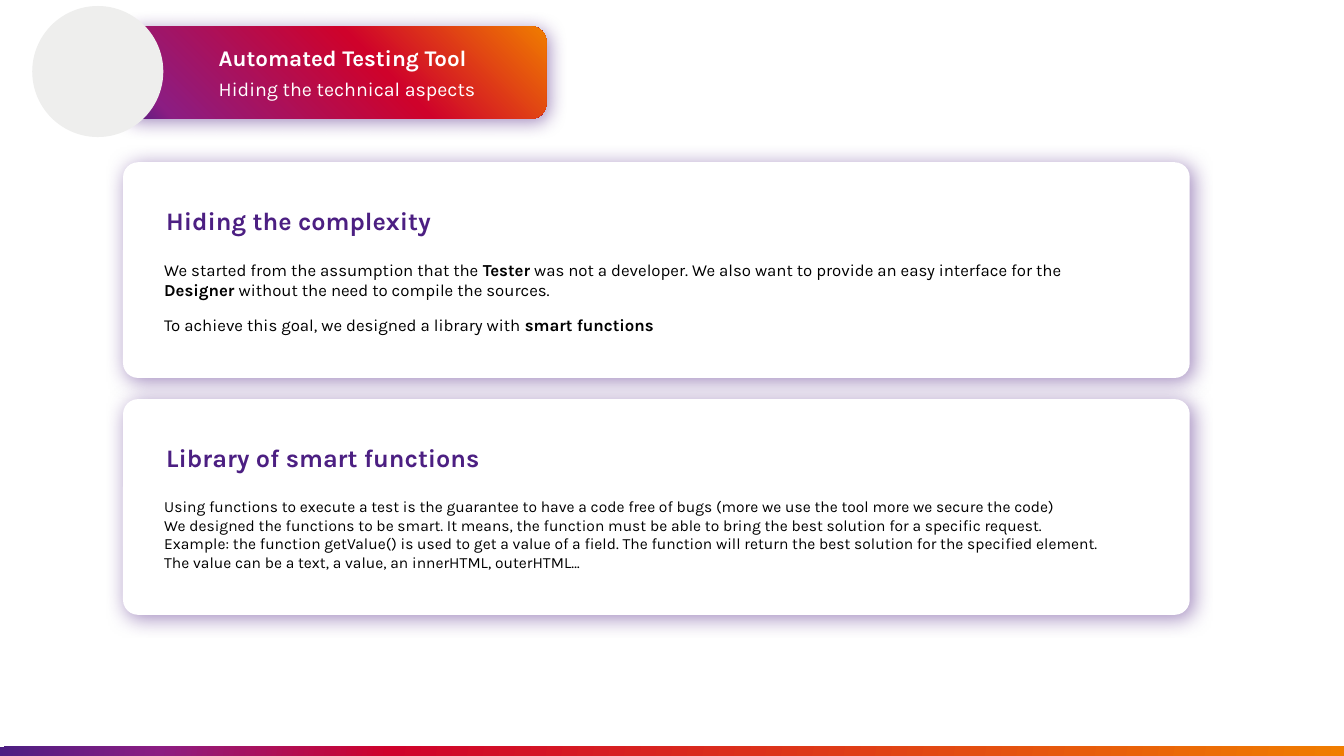
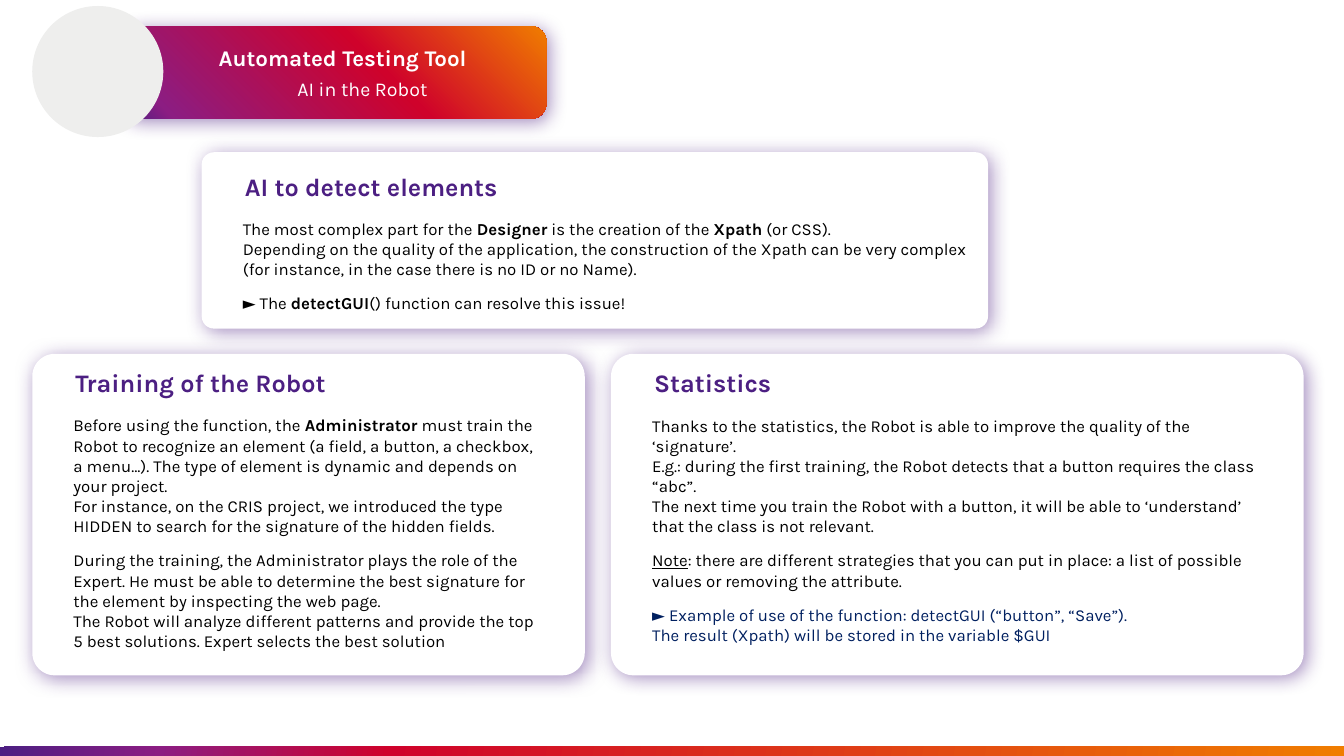
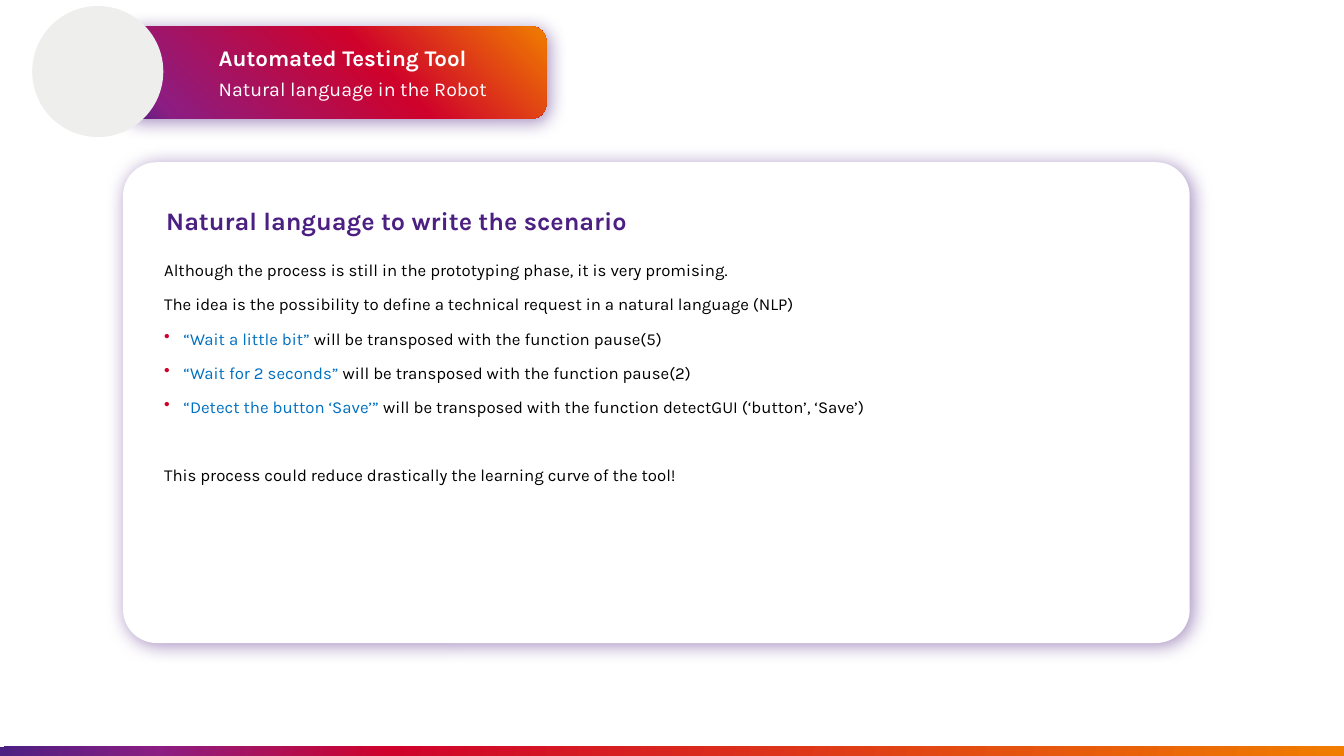
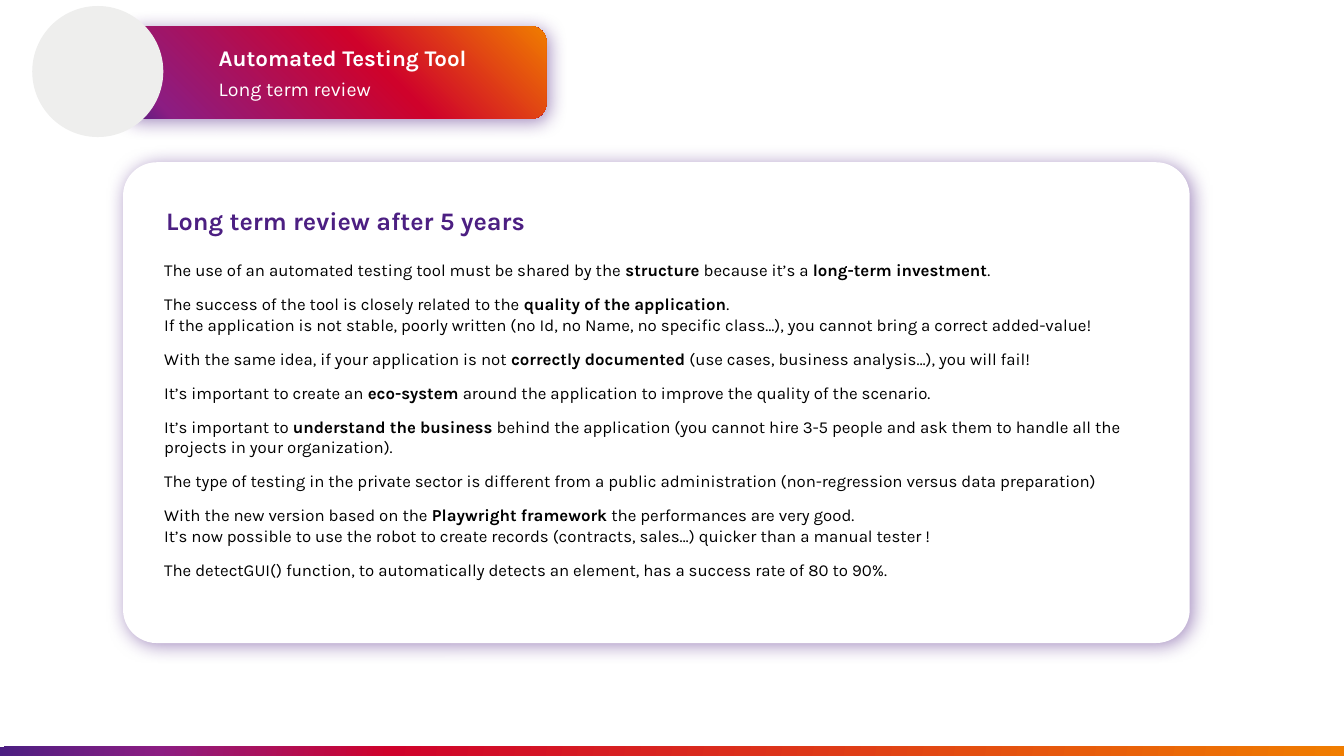
from lxml import etree
from pptx import Presentation
from pptx.dml.color import RGBColor
from pptx.enum.shapes import MSO_SHAPE as Preset
from pptx.oxml.ns import qn
from pptx.util import Inches, Pt

FONT = "Karla"
COLOURS = {
    "purple": "4C1F82", "violet": "8C1D82", "red": "CF022B", "orange": "F07D00",
    "white": "FFFFFF", "grey": "EEEEED", "black": "000000",
    "blue": "0070C0", "navy": "002060",
}
BANNER_STOPS = [(0, "purple"), (10, "violet"), (60, "red"), (100, "orange")]
BAND_STOPS = [(0, "purple"), (12, "violet"), (29, "red"), (100, "orange")]


def add_panel(slide, preset, box, colour=None, stops=(), angle=0, blur=0):
    """Add a borderless shape with a plain or gradient fill and an optional glow."""
    shape = slide.shapes.add_shape(preset, *map(Inches, box))
    shape.line.fill.background()
    shape.shadow.inherit = False
    properties = shape._element.spPr
    if colour:
        shape.fill.solid()
        shape.fill.fore_color.rgb = RGBColor.from_string(COLOURS[colour])
    else:
        shape.fill.gradient()
        shape.fill.gradient_angle = angle
        stop_list = properties.find(".//" + qn("a:gsLst"))
        stop_list.clear()
        for position, name in stops:
            stop = etree.SubElement(stop_list, qn("a:gs"), pos=str(position * 1000))
            etree.SubElement(stop, qn("a:srgbClr"), val=COLOURS[name])
    if blur:
        shadow = etree.SubElement(
            properties.find(qn("a:effectLst")), qn("a:outerShdw"), blurRad=str(Pt(blur)),
            dist=str(Pt(3)), dir="2700000", algn="tl", rotWithShape="0")
        tint = etree.SubElement(shadow, qn("a:srgbClr"), val=COLOURS["purple"])
        etree.SubElement(tint, qn("a:alpha"), val="50000")
    return shape


def add_text(slide, box, paragraphs, size, colour="black", bold=False):
    """Add a text box; a run is a string or (string, "bold" | "underline" | colour)."""
    frame = slide.shapes.add_textbox(*map(Inches, box)).text_frame
    frame.word_wrap = True
    after_bullet = False
    for index, runs in enumerate(paragraphs):
        paragraph = frame.paragraphs[0] if index == 0 else frame.add_paragraph()
        runs = [(run, "") if isinstance(run, str) else run
                for run in ([runs] if isinstance(runs, str) else runs)]
        bullet = runs[0][0].startswith("• ")
        # One line of air after a bullet list
        paragraph.space_before = Pt(0 if index == 0 else 29 if after_bullet and not bullet else 5)
        paragraph.space_after = Pt(5)
        after_bullet = bullet
        if bullet:
            properties = paragraph._p.get_or_add_pPr()
            properties.set("marL", str(Inches(0.19)))
            properties.set("indent", str(Inches(-0.19)))
            bullet_colour = etree.SubElement(properties, qn("a:buClr"))
            etree.SubElement(bullet_colour, qn("a:srgbClr"), val=COLOURS["red"])
            etree.SubElement(properties, qn("a:buChar"), char="•")
        for text, style in runs:
            for number, line in enumerate(text.removeprefix("• ").split("\n")):
                if number:
                    paragraph.add_line_break()
                run = paragraph.add_run()
                run.text = line
                run.font.name = FONT
                run.font.size = Pt(size)
                run.font.bold = bold or style == "bold"
                run.font.underline = style == "underline"
                run.font.color.rgb = RGBColor.from_string(COLOURS.get(style, COLOURS[colour]))
        # Line breaks take the size of the text around them
        for line_break in paragraph._p.findall(qn("a:br")):
            mark = etree.SubElement(line_break, qn("a:rPr"), sz=str(round(size * 100)))
            etree.SubElement(mark, qn("a:latin"), typeface=FONT)


# Content: (subtitle, subtitle left, cards); a card is
# (box, heading, heading offset, heading width, body offset, body width, body height, size, body)
PAGES = [
    ("Hiding the technical aspects", 2.07, [
        ((1.22, 1.61, 10.58, 2.14), "Hiding the complexity", 0.38, 4.51, 0.92, 9.73, 1.07, 12, [
            ["We started from the assumption that the ", ("Tester", "bold"),
             " was not a developer. We also want to provide an easy interface for the ",
             ("Designer", "bold"), " without the need to compile the sources."],
            ["To achieve this goal, we designed a library with ", ("smart functions", "bold")],
        ]),
        ((1.22, 3.96, 10.58, 2.14), "Library of smart functions", 0.38, 4.51, 0.92, 9.73, 1.07, 11.1, [
            "Using functions to execute a test is the guarantee to have a code free of bugs "
            "(more we use the tool more we secure the code)\n"
            "We designed the functions to be smart. It means, the function must be able to "
            "bring the best solution for a specific request.\n"
            "Example: the function getValue() is used to get a value of a field. The function "
            "will return the best solution for the specified element.\n"
            "The value can be a text, a value, an innerHTML, outerHTML…",
        ]),
    ]),
    ("AI in the Robot", 2.85, [
        ((2, 1.51, 7.8, 1.75), "AI to detect elements", 0.14, 4.51, 0.61, 7.49, 1.14, 12, [
            ["The most complex part for the ", ("Designer", "bold"), " is the creation of the ",
             ("Xpath", "bold"),
             " (or CSS).\nDepending on the quality of the application, the construction of the "
             "Xpath can be very complex\n(for instance, in the case there is no ID or no Name)."],
            ["► The ", ("detectGUI", "bold"), "() function can resolve this issue!"],
        ]),
        ((0.32, 3.51, 5.48, 3.19), "Training of the Robot", 0.08, 4.51, 0.56, 4.88, 2.53, 12, [
            ["Before using the function, the ", ("Administrator", "bold"),
             " must train the Robot to recognize an element (a field, a button, a checkbox, "
             "a menu…). The type of element is dynamic and depends on your project.\n"
             "For instance, on the CRIS project, we introduced the type HIDDEN to search for "
             "the signature of the hidden fields."],
            "During the training, the Administrator plays the role of the Expert. He must be "
            "able to determine the best signature for the element by inspecting the web page.\n"
            "The Robot will analyze different patterns and provide the top 5 best solutions. "
            "Expert selects the best solution",
        ]),
        ((6.06, 3.51, 6.87, 3.19), "Statistics", 0.08, 4.51, 0.56, 6.33, 2.38, 12, [
            "Thanks to the statistics, the Robot is able to improve the quality of the "
            "‘signature’.\nE.g.: during the first training, the Robot detects that a button "
            "requires the class “abc”.\nThe next time you train the Robot with a button, it "
            "will be able to ‘understand’ that the class is not relevant.",
            [("Note", "underline"), ": there are different strategies that you can put in "
             "place: a list of possible values or removing the attribute."],
            [("► Example of use of the function: detectGUI (“button”, “Save”).\n"
              "The result (Xpath) will be stored in the variable $GUI", "navy")],
        ]),
    ]),
    ("Natural language in the Robot", 2.07, [
        ((1.22, 1.61, 10.58, 4.77), "Natural language to write the scenario",
         0.38, 5.29, 0.92, 9.73, 3.65, 12, [
            "Although the process is still in the prototyping phase, it is very promising.",
            "The idea is the possibility to define a technical request in a natural language (NLP)",
            [("• “Wait a little bit”", "blue"), " will be transposed with the function pause(5)"],
            [("• “Wait for 2 seconds”", "blue"), " will be transposed with the function pause(2)"],
            [("• “Detect the button ‘Save’”", "blue"),
             " will be transposed with the function detectGUI (‘button’, ‘Save’)"],
            "This process could reduce drastically the learning curve of the tool!",
        ]),
    ]),
    ("Long term review", 2.07, [
        ((1.22, 1.61, 10.58, 4.77), "Long term review after 5 years",
         0.38, 5.29, 0.92, 9.73, 3.65, 12, [
            ["The use of an automated testing tool must be shared by the ", ("structure", "bold"),
             " because it’s a ", ("long-term investment", "bold"), "."],
            ["The success of the tool is closely related to the ",
             ("quality of the application", "bold"),
             ".\nIf the application is not stable, poorly written (no Id, no Name, no specific "
             "class…), you cannot bring a correct added-value!"],
            ["With the same idea, if your application is not ", ("correctly documented", "bold"),
             " (use cases, business analysis…), you will fail!"],
            ["It’s important to create an ", ("eco-system", "bold"),
             " around the application to improve the quality of the scenario."],
            ["It’s important to ", ("understand the business", "bold"),
             " behind the application (you cannot hire 3-5 people and ask them to handle all "
             "the projects in your organization)."],
            "The type of testing in the private sector is different from a public "
            "administration (non-regression versus data preparation)",
            ["With the new version based on the ", ("Playwright framework", "bold"),
             " the performances are very good.\nIt’s now possible to use the robot to create "
             "records (contracts, sales…) quicker than a manual tester !"],
            "The detectGUI() function, to automatically detects an element, has a success rate "
            "of 80 to 90%.",
        ]),
    ]),
]

presentation = Presentation()
presentation.slide_width = Inches(13.33)
presentation.slide_height = Inches(7.5)

for subtitle, subtitle_left, cards in PAGES:
    slide = presentation.slides.add_slide(presentation.slide_layouts[6])

    # Bottom band
    add_panel(slide, Preset.RECTANGLE, (-0.01, 7.41, 13.35, 0.12), stops=BAND_STOPS, angle=350)

    # Cards
    for (box, heading, heading_offset, heading_width,
         body_offset, body_width, body_height, size, body) in cards:
        left, top = box[:2]
        card = add_panel(slide, Preset.ROUNDED_RECTANGLE, box, "white", blur=13.9)
        card.adjustments[0] = 0.07
        add_text(slide, (left + 0.31, top + body_offset, body_width, body_height), body, size)
        add_text(slide, (left + 0.33, top + heading_offset, heading_width, 0.41),
                 [heading], 18, "purple", bold=True)

    # Title banner with its disc
    add_panel(slide, Preset.ROUNDED_RECTANGLE, (1.22, 0.26, 4.2, 0.92),
              stops=BANNER_STOPS, angle=45, blur=13)
    add_panel(slide, Preset.OVAL, (0.32, 0.06, 1.3, 1.3), "grey")
    add_text(slide, (2.07, 0.39, 3.29, 0.38), ["Automated Testing Tool"], 16, "white", bold=True)
    add_text(slide, (subtitle_left, 0.71, 3.35, 0.4), [subtitle], 14, "white")

presentation.save("out.pptx")
